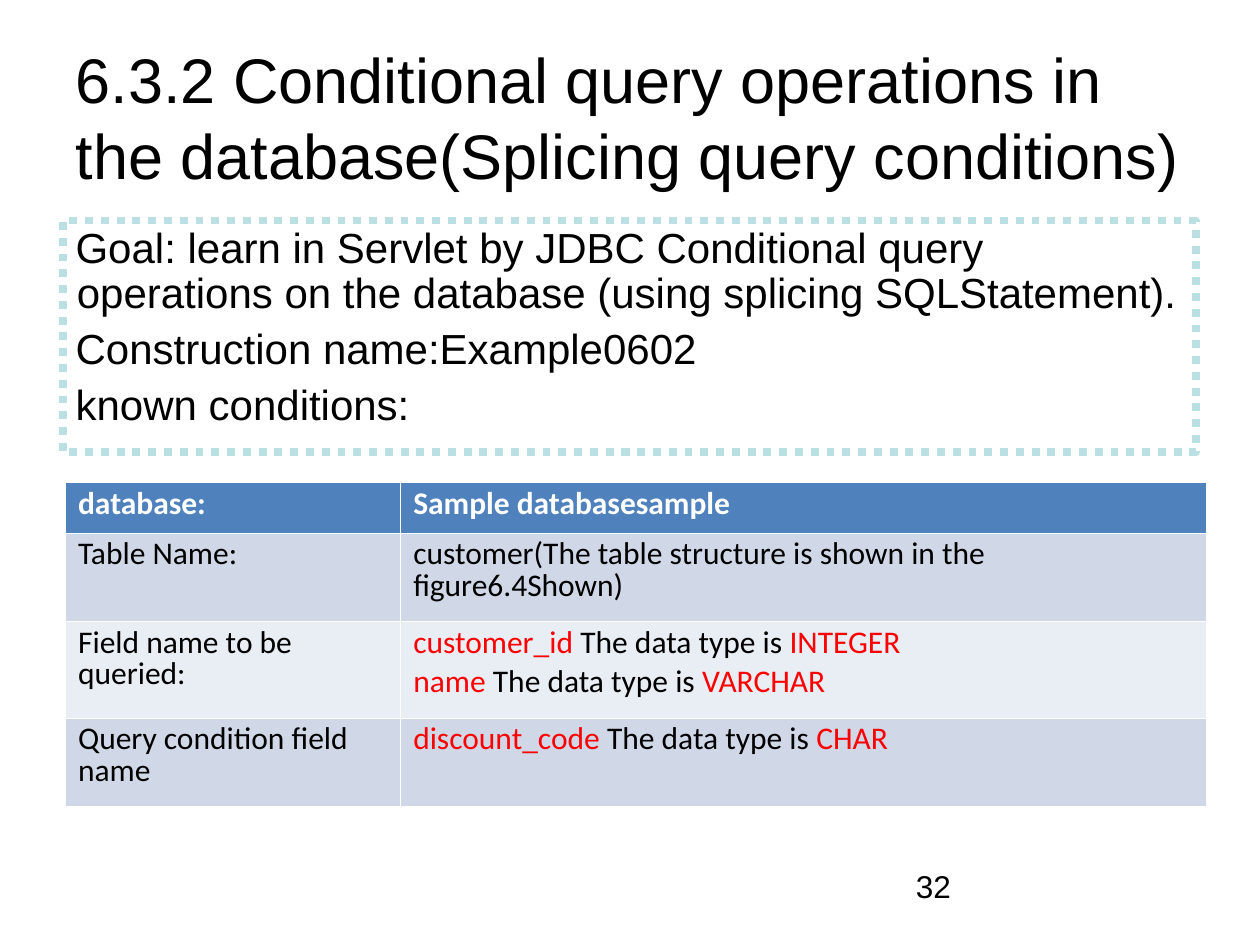
"""Build the slide on conditional database queries with spliced conditions."""
from dataclasses import dataclass
from typing import Any

from lxml.etree import SubElement
from pptx import Presentation
from pptx.dml.color import RGBColor
from pptx.enum.dml import MSO_LINE_DASH_STYLE as Dash
from pptx.enum.text import MSO_ANCHOR as Anchor, MSO_AUTO_SIZE as AutoSize, PP_ALIGN as Align
from pptx.oxml.ns import qn
from pptx.util import Inches, Pt

COLORS = {
    "text": "000000",
    "white": "FFFFFF",
    "keyword": "FF0000",
    "frame": "BBE0E3",
    "header": "4F81BD",
    "band_dark": "D0D8E8",
    "band_light": "E9EDF4",
}


@dataclass(frozen=True)
class Span:
    text: str
    color: str = "text"


@dataclass(frozen=True)
class TextStyle:
    size: float
    font: str = "Arial"
    bold: bool = False
    line_spacing: float = 1.0
    space_before: float = 0


@dataclass(frozen=True)
class TableRow:
    label: list[list[Span]]
    value: list[list[Span]]
    height: float
    fill: str
    bold: bool = False


def rgb(name: str) -> RGBColor:
    return RGBColor.from_string(COLORS[name])


def plain(text: str, color: str = "text") -> list[list[Span]]:
    return [[Span(text, color)]]


def field(name: str, data_type: str) -> list[Span]:
    return [Span(f"{name} ", "keyword"), Span("The data type is "), Span(data_type, "keyword")]


def write(frame: Any, lines: list[list[Span]], style: TextStyle) -> None:
    frame.word_wrap = True
    for index, spans in enumerate(lines):
        paragraph = frame.paragraphs[0] if index == 0 else frame.add_paragraph()
        paragraph.alignment = Align.LEFT
        paragraph.line_spacing = style.line_spacing
        paragraph.space_before = Pt(style.space_before if index else 0)
        for span in spans:
            run = paragraph.add_run()
            run.text = span.text
            run.font.name = style.font
            run.font.size = Pt(style.size)
            run.font.bold = style.bold
            run.font.color.rgb = rgb(span.color)


def place(shape: Any, left: float, top: float, width: float, height: float) -> None:
    shape.left, shape.top = Inches(left), Inches(top)
    shape.width, shape.height = Inches(width), Inches(height)
    shape.text_frame.auto_size = AutoSize.NONE


def remove_bullet(paragraph: Any) -> None:
    properties = paragraph._p.get_or_add_pPr()
    properties.set("marL", str(Inches(0.01)))
    properties.set("indent", str(-Inches(0.01)))
    SubElement(properties, qn("a:buNone"))


def outline_cell(cell: Any) -> None:
    properties = cell._tc.get_or_add_tcPr()
    for side in ("lnL", "lnR", "lnT", "lnB"):
        line = SubElement(properties, qn(f"a:{side}"), w=str(Pt(0.23)))
        fill = SubElement(line, qn("a:solidFill"))
        SubElement(fill, qn("a:srgbClr"), val=COLORS["white"])


def draw_conditions(slide: Any, rows: list[TableRow], widths: tuple[float, ...]) -> None:
    conditions = slide.shapes.add_table(
        len(rows), len(widths), Inches(0.52), Inches(3.83),
        Inches(sum(widths)), Inches(sum(row.height for row in rows)),
    ).table
    for column, width in zip(conditions.columns, widths):
        column.width = Inches(width)
    for index, row in enumerate(rows):
        conditions.rows[index].height = Inches(row.height)
        style = TextStyle(18, "Calibri", row.bold, 0.83, 4.5)
        for cell, lines in zip(conditions.rows[index].cells, (row.label, row.value)):
            outline_cell(cell)
            cell.fill.solid()
            cell.fill.fore_color.rgb = rgb(row.fill)
            write(cell.text_frame, lines, style)


def main() -> None:
    deck = Presentation()
    deck.slide_width, deck.slide_height = Inches(10), Inches(7.5)
    slide = deck.slides.add_slide(deck.slide_layouts[1])

    title = slide.shapes.title
    place(title, 0.5, 0.3, 9, 1.25)
    title.text_frame.vertical_anchor = Anchor.MIDDLE
    heading = "6.3.2 Conditional query operations in the database(Splicing query conditions)"
    write(title.text_frame, plain(heading), TextStyle(36))

    goal = slide.placeholders[1]
    place(goal, 0.5, 1.75, 8.99, 1.84)
    goal.line.color.rgb = rgb("frame")
    goal.line.width = Pt(4.5)
    goal.line.dash_style = Dash.ROUND_DOT
    goal_lines = [
        [Span("Goal: learn in Servlet by JDBC Conditional query operations on the database "
              "(using splicing SQLStatement).")],
        [Span("Construction name:Example0602")],
        [Span("known conditions:")],
    ]
    write(goal.text_frame, goal_lines, TextStyle(24, line_spacing=0.9, space_before=6))
    for paragraph in goal.text_frame.paragraphs:
        remove_bullet(paragraph)

    rows = [
        TableRow(plain("database:", "white"), plain("Sample databasesample", "white"),
                 0.4, "header", True),
        TableRow(plain("Table Name:"),
                 plain("customer(The table structure is shown in the figure6.4Shown)"),
                 0.7, "band_dark"),
        TableRow(plain("Field name to be queried:"),
                 [field("customer_id", "INTEGER"), field("name", "VARCHAR")],
                 0.77, "band_light"),
        TableRow(plain("Query condition field name"), [field("discount_code", "CHAR")],
                 0.7, "band_dark"),
    ]
    draw_conditions(slide, rows, (2.66, 6.39))

    page_number = slide.shapes.add_textbox(0, 0, 0, 0)
    place(page_number, 7.17, 6.83, 2.33, 0.52)
    write(page_number.text_frame, plain("32"), TextStyle(18))

    deck.save("out.pptx")


if __name__ == "__main__":
    main()
